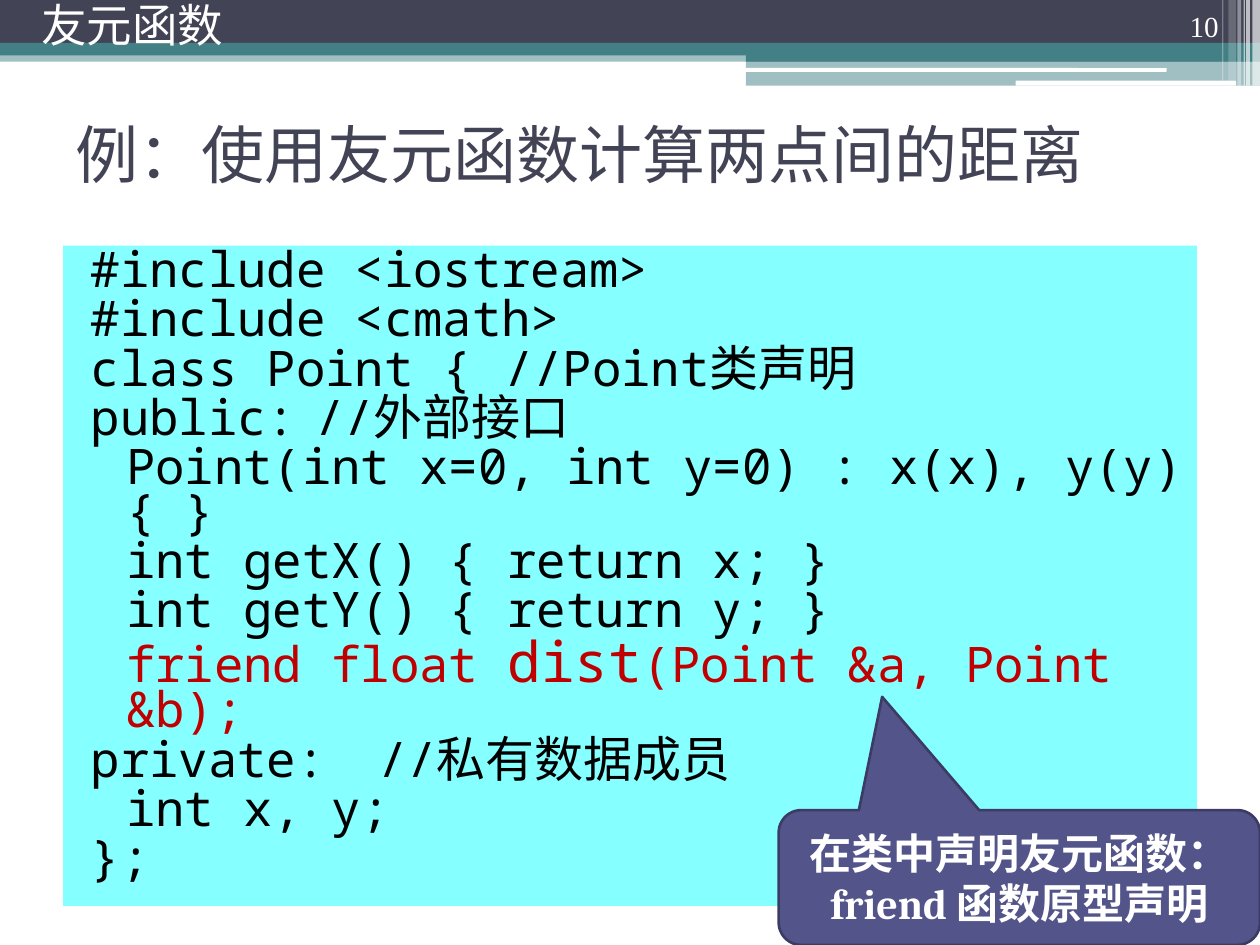
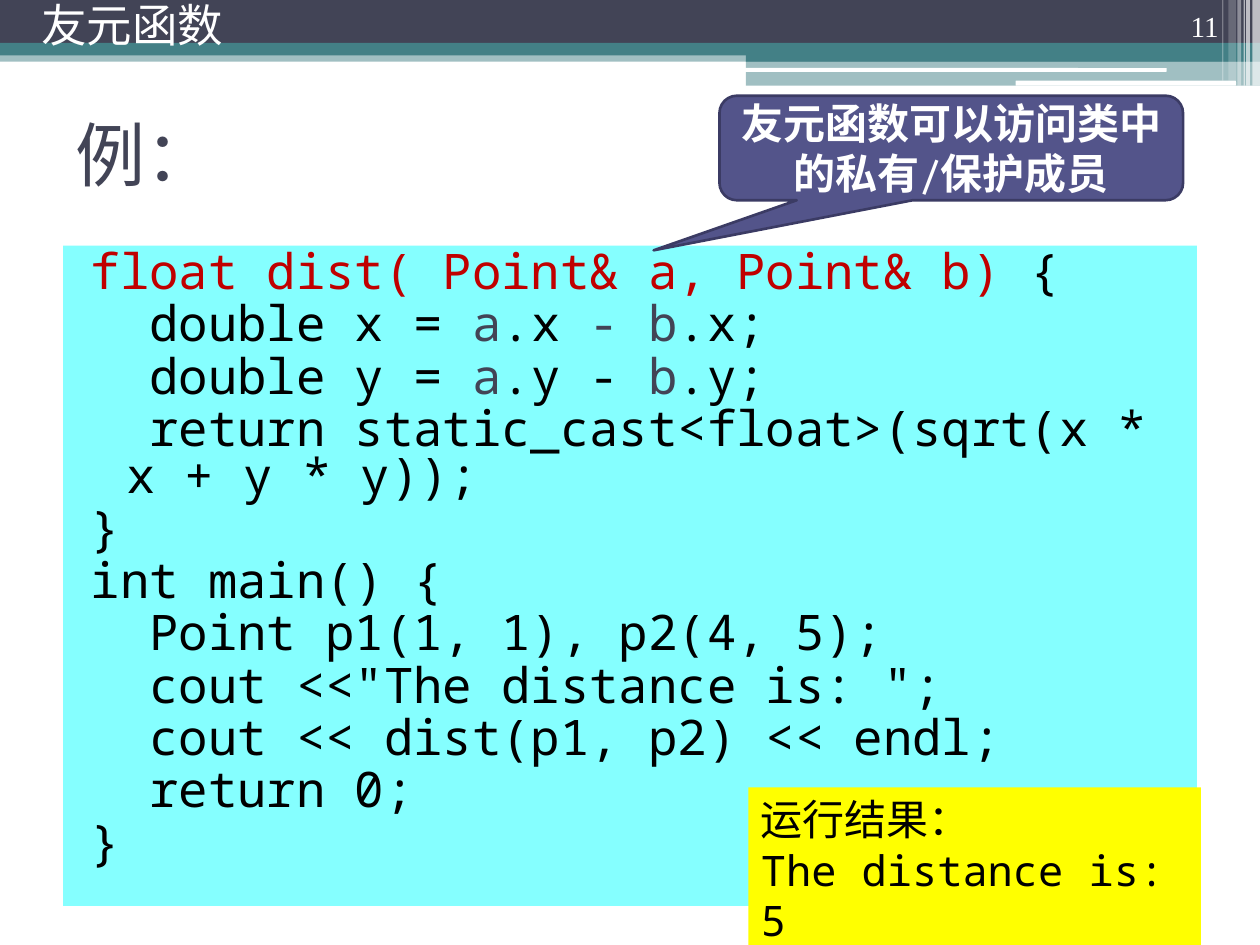
from lxml import etree
from pptx import Presentation
from pptx import util as u
from pptx.dml.color import RGBColor
from pptx.enum import shapes, text
from pptx.oxml import ns

SLATE = RGBColor(0x42, 0x44, 0x56)
TEAL = RGBColor(0x43, 0x80, 0x86)
CYAN = RGBColor(0x85, 0xFF, 0xFF)
INDIGO = RGBColor(0x53, 0x54, 0x8A)
INDIGO_EDGE = RGBColor(0x3B, 0x3B, 0x64)
RED = RGBColor(0xC0, 0x00, 0x00)
YELLOW = RGBColor(0xFF, 0xFF, 0x00)
WHITE = RGBColor(0xFF, 0xFF, 0xFF)
BLACK = RGBColor(0x00, 0x00, 0x00)

WIDTH, HEIGHT = 10, 7.5
HEADING_FONT, CODE_FONT = "Roboto", "Noto Sans Mono"
NOTE_FONT, NUMBER_FONT = "Cambria", "Times New Roman"
RECT = shapes.MSO_SHAPE.RECTANGLE
ROUND = shapes.MSO_SHAPE.ROUNDED_RECTANGLE
CALLOUT = shapes.MSO_SHAPE.ROUNDED_RECTANGULAR_CALLOUT
MIDDLE = text.MSO_ANCHOR.MIDDLE
CENTER = text.PP_ALIGN.CENTER

SECTION = "友元函数"
SECTION_AREA = (0.23, 0, 7.89, 0.47)
NUMBER_AREA = (8.94, 0, 0.83, 0.4)
TITLE_AREA = (0.05 * WIDTH, 0.63, 0.9 * WIDTH, 1.17)
CODE_AREA = (0.05 * WIDTH, 0.26 * HEIGHT, 0.9 * WIDTH, 5.24)
TAB_STOPS = range(8)

BANDS = [
    (RECT, (0, 0.4, WIDTH, 0.09), TEAL, 50),
    (RECT, (0, 0, WIDTH, 0.34), SLATE, 100),
    (RECT, (0, 0.34, WIDTH, 0.1), TEAL, 100),
    (RECT, (5.92, 0.39, 4.08, 0.1), TEAL, 100),
    (RECT, (5.92, 0.48, 4.08, 0.2), TEAL, 50),
    (ROUND, (5.91, 0.54, 3.35, 0.03), WHITE, 100),
    (ROUND, (8.06, 0.64, 1.75, 0.04), WHITE, 100),
]
STRIPES = [
    (9.94, 0.06, 0.68, 65),
    (9.89, 0.03, 0.68, 65),
    (9.87, 0.01, 0.68, 60),
    (9.82, 0.03, 0.68, 40),
    (9.75, 0.06, 0.64, 20),
    (9.7, 0.01, 0.64, 30),
]
BANDS += [(RECT, (x, 0, w, h), WHITE, opacity) for x, w, h, opacity in STRIPES]

PAGES = [
    {
        "number": 10,
        "title": ("例：使用友元函数计算两点间的距离", 36),
        "spacing": 0.75,
        "code": [
            "#include <iostream>",
            "#include <cmath>",
            "class Point {\t//Point类声明",
            "public:\t//外部接口",
            "\tPoint(int x=0, int y=0) : x(x), y(y) { }",
            "\tint getX() { return x; }",
            "\tint getY() { return y; }",
            [("\t",), ("friend float ", RED), ("dist", RED, 32),
             ("(Point &a, Point &b);", RED)],
            "private:\t//私有数据成员",
            "\tint x, y;",
            "};",
        ],
        "callout": {
            "area": (6.18, 6.43, 3.82, 1.07),
            "tip": (-0.285, -1.34),
            "lines": ["在类中声明友元函数：", "friend 函数原型声明"],
        },
    },
    {
        "number": 11,
        "title": ("例：", 40),
        "spacing": 0.8,
        "code": [
            [("float dist( Point& a, Point& b) ", RED), ("{",)],
            [("  double x = ",), ("a", SLATE), (".x ",), ("- b", SLATE), (".x;",)],
            [("  double y = ",), ("a", SLATE), (".y - ",), ("b", SLATE), (".y;",)],
            "  return static_cast<float>(sqrt(x * x + y * y));",
            "}",
            "int main() {",
            "  Point p1(1, 1), p2(4, 5);",
            '  cout <<"The distance is: ";',
            "  cout << dist(p1, p2) << endl;",
            "  return 0;",
            "}",
        ],
        "output": {
            "area": (5.94, 6.25, 3.59, 1.3),
            "lines": ["运行结果：", "The distance is: 5"],
        },
        "callout": {
            "area": (5.71, 0.76, 3.68, 0.83),
            "tip": (-0.642, 0.979),
            "lines": ["友元函数可以访问类中的私有/保护成员"],
        },
    },
]


def inches(area):
    return [u.Inches(length) for length in area]


def place(part, area):
    part.left, part.top, part.width, part.height = inches(area)


def style(font, name, size, color, bold=False):
    font.name, font.size, font.bold = name, u.Pt(size), bold
    font.color.rgb = color


def block(slide, kind, area, color, edge=None):
    part = slide.shapes.add_shape(kind, *inches(area))
    part.shadow.inherit = False
    part.fill.solid()
    part.fill.fore_color.rgb = color
    if edge is None:
        part.line.fill.background()
    else:
        part.line.color.rgb = edge
        part.line.width = u.Pt(1.5)
    return part


def write(part, lines, font, size, color, anchor=MIDDLE,
          align=text.PP_ALIGN.LEFT, spacing=1.0, bold=False):
    frame = part.text_frame
    frame.word_wrap = True
    frame.auto_size = text.MSO_AUTO_SIZE.NONE
    frame.vertical_anchor = anchor
    frame.text = "\n".join(lines)
    for paragraph in frame.paragraphs:
        paragraph.alignment = align
        paragraph.line_spacing = spacing
        for run in paragraph.runs:
            style(run.font, font, size, color, bold)


def add_bands(slide, layout):
    tree = layout.shapes.element
    for order, (kind, area, color, opacity) in enumerate(BANDS):
        band = block(slide, kind, area, color)
        if opacity < 100:
            tint = band.element.spPr.find(".//" + ns.qn("a:srgbClr"))
            etree.SubElement(tint, ns.qn("a:alpha")).set("val", str(opacity * 1000))
        band.element.find(".//" + ns.qn("p:cNvPr")).set("id", str(100 + order))
        tree.insert(2 + order, band.element)


def write_code(body, lines, spacing):
    place(body, CODE_AREA)
    body.fill.solid()
    body.fill.fore_color.rgb = CYAN
    frame = body.text_frame
    frame.auto_size = text.MSO_AUTO_SIZE.NONE
    for row, line in enumerate(lines):
        paragraph = frame.add_paragraph() if row else frame.paragraphs[0]
        props = paragraph._p.get_or_add_pPr()
        props.set("marL", str(u.Inches(0.4)))
        props.set("indent", str(u.Inches(-0.28)))
        etree.SubElement(props, ns.qn("a:buNone"))
        tabs = etree.SubElement(props, ns.qn("a:tabLst"))
        for stop in TAB_STOPS:
            tab = etree.SubElement(tabs, ns.qn("a:tab"))
            tab.set("pos", str(u.Inches(stop)))
            tab.set("algn", "l")
        paragraph.line_spacing = spacing
        paragraph.space_before = u.Pt(3 if row else 0)
        for piece in [(line,)] if isinstance(line, str) else line:
            words, color, size = (piece + (BLACK, 28)[len(piece) - 1:])
            run = paragraph.add_run()
            run.text = words
            style(run.font, CODE_FONT, size, color)


def add_page(slide, page):
    title, size = page["title"]
    place(slide.shapes.title, TITLE_AREA)
    write(slide.shapes.title, [title], HEADING_FONT, size, SLATE)
    write_code(slide.placeholders[1], page["code"], page["spacing"])

    number = slide.shapes.add_textbox(*inches(NUMBER_AREA))
    write(number, [str(page["number"])], NUMBER_FONT, 16.6, WHITE,
          text.MSO_ANCHOR.BOTTOM, text.PP_ALIGN.RIGHT, 0.9)
    section = slide.shapes.add_textbox(*inches(SECTION_AREA))
    write(section, [SECTION], HEADING_FONT, 26, WHITE, spacing=0.8)

    if "output" in page:
        output = block(slide, RECT, page["output"]["area"], YELLOW)
        write(output, page["output"]["lines"], CODE_FONT, 24, BLACK,
              text.MSO_ANCHOR.TOP)

    note = page["callout"]
    callout = block(slide, CALLOUT, note["area"], INDIGO, INDIGO_EDGE)
    callout.adjustments[0], callout.adjustments[1] = note["tip"]
    write(callout, note["lines"], NOTE_FONT, 24, WHITE, align=CENTER, bold=True)


def main():
    deck = Presentation()
    deck.slide_width, deck.slide_height = u.Inches(WIDTH), u.Inches(HEIGHT)
    layout = deck.slide_layouts[1]
    slides = [deck.slides.add_slide(layout) for _ in PAGES]
    add_bands(slides[0], layout)
    for slide, page in zip(slides, PAGES):
        add_page(slide, page)
    deck.save("out.pptx")


if __name__ == "__main__":
    main()
